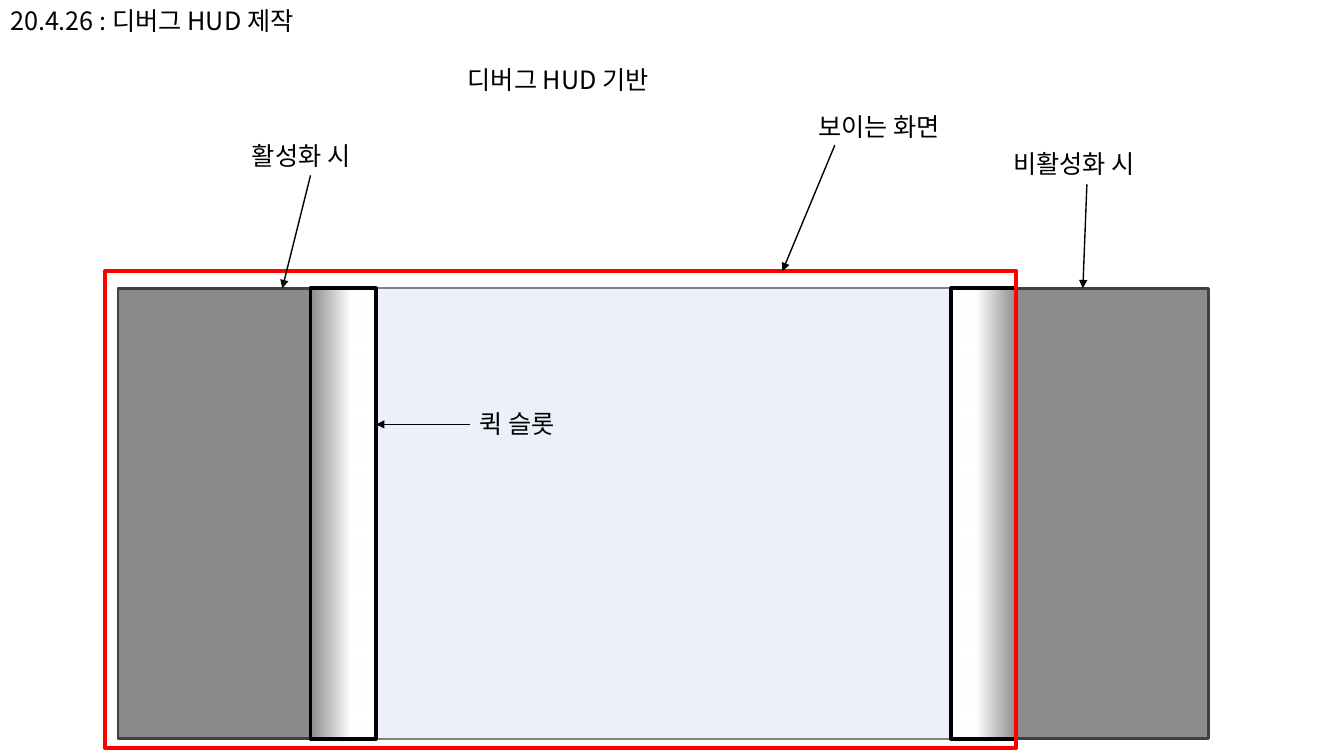
from typing import NamedTuple, Optional

from lxml import etree
from pptx import Presentation
from pptx.dml.color import RGBColor
from pptx.enum.shapes import MSO_CONNECTOR as CONN, MSO_SHAPE as SHAPE
from pptx.enum.text import MSO_ANCHOR as ANCHOR, MSO_AUTO_SIZE as AUTO, PP_ALIGN as ALIGN
from pptx.oxml import parse_xml
from pptx.oxml.ns import nsdecls, qn
from pptx.util import Inches, Pt

FONT = "Noto Sans CJK KR"
PANEL_TOP, PANEL_H = 2.86, 4.47
PANEL_W, SLOT_W = 2.56, 0.65
SCREEN_X, LEFT_SLOT_X, RIGHT_X = 1.17, 3.08, 9.43
FRAME_TOP = 2.69
LABEL_H = 0.4


class Box(NamedTuple):
    x: float
    w: float
    line: str
    line_pt: float
    fill: Optional[str] = None
    alpha: int = 100
    fade_angle: Optional[int] = None
    y: float = PANEL_TOP
    h: float = PANEL_H


class Label(NamedTuple):
    text: str
    x: float
    y: float
    w: float


class Arrow(NamedTuple):
    x1: float
    y1: float
    x2: float
    y2: float


BOXES = [
    Box(SCREEN_X, 8.91, "808080", 1.5, "DAE3F3", 50),
    Box(SCREEN_X, PANEL_W, "404040", 2, "808080", 90),
    Box(LEFT_SLOT_X, SLOT_W, "000000", 2.5, fade_angle=0),
    Box(RIGHT_X, PANEL_W, "404040", 2, "808080", 90),
    Box(RIGHT_X, SLOT_W, "000000", 2.5, fade_angle=180),
    Box(1.04, 9.04, "FF0000", 3, y=FRAME_TOP, h=4.73),
]
TITLE = Label("20.4.26 : 디버그 HUD 제작", 0, 0, 3.57)
LABELS = [
    Label("디버그 HUD 기반", 4.54, 0.59, 2.81),
    Label("활성화 시", 2.4, 1.34, 1.36),
    Label("비활성화 시", 9.95, 1.42, 1.67),
    Label("보이는 화면", 8.02, 1.06, 1.67),
    Label("퀵 슬롯", 4.66, 4, 1.08),
]
ARROWS = [
    Arrow(3.08, 1.74, 2.8, PANEL_TOP),
    Arrow(10.78, 1.83, 10.74, PANEL_TOP),
    Arrow(8.28, 1.44, 7.76, FRAME_TOP),
    Arrow(4.66, 4.21, LEFT_SLOT_X + SLOT_W, 4.21),
]


def rgb(color: str) -> RGBColor:
    return RGBColor.from_string(color)


def fade(angle: int):
    """White gradient that starts fully transparent."""
    return parse_xml(
        f'<a:gradFill {nsdecls("a")} rotWithShape="1"><a:gsLst>'
        '<a:gs pos="0"><a:srgbClr val="FFFFFF"><a:alpha val="0"/></a:srgbClr></a:gs>'
        '<a:gs pos="61000"><a:srgbClr val="FFFFFF"/></a:gs>'
        '<a:gs pos="100000"><a:srgbClr val="FFFFFF"/></a:gs>'
        f'</a:gsLst><a:lin ang="{angle * 60000}" scaled="0"/></a:gradFill>')


def add_box(s, box: Box) -> None:
    sp = s.shapes.add_shape(SHAPE.RECTANGLE, Inches(box.x), Inches(box.y),
                            Inches(box.w), Inches(box.h))
    sp.shadow.inherit = False
    sp.line.color.rgb = rgb(box.line)
    sp.line.width = Pt(box.line_pt)
    if box.fill:
        sp.fill.solid()
        sp.fill.fore_color.rgb = rgb(box.fill)
        clr = sp.fill._xPr.find(qn("a:solidFill"))[0]
        etree.SubElement(clr, qn("a:alpha"), val=str(box.alpha * 1000))
    else:
        sp.fill.background()
        if box.fade_angle is not None:
            no_fill = sp._element.spPr.find(qn("a:noFill"))
            no_fill.getparent().replace(no_fill, fade(box.fade_angle))


def write_label(sp, label: Label) -> None:
    sp.left, sp.top = Inches(label.x), Inches(label.y)
    sp.width, sp.height = Inches(label.w), Inches(LABEL_H)
    tf = sp.text_frame
    tf.text = label.text
    tf.word_wrap = True
    tf.auto_size = AUTO.SHAPE_TO_FIT_TEXT
    tf.vertical_anchor = ANCHOR.TOP
    p = tf.paragraphs[0]
    p.alignment = ALIGN.LEFT
    p.font.name = FONT
    p.font.size = Pt(18)
    p.font.color.rgb = rgb("000000")
    latin = p.font._element.find(qn("a:latin"))
    latin.addnext(latin.makeelement(qn("a:ea"), {"typeface": FONT}))


def add_arrow(s, arrow: Arrow) -> None:
    ends = [Inches(v) for v in arrow]
    cn = s.shapes.add_connector(CONN.STRAIGHT, *ends)
    cn.line.color.rgb = rgb("000000")
    cn.line.width = Pt(1)
    etree.SubElement(cn.line._get_or_add_ln(), qn("a:tailEnd"), type="triangle")
    etree.SubElement(cn._element.spPr, qn("a:effectLst"))


def main() -> None:
    prs = Presentation()
    prs.slide_width, prs.slide_height = Inches(13.33), Inches(7.5)
    s = prs.slides.add_slide(prs.slide_layouts[5])

    # Title
    write_label(s.shapes.title, TITLE)

    # Screen, side panels, quick slots and visible frame
    for box in BOXES:
        add_box(s, box)

    # Callouts
    for arrow in ARROWS:
        add_arrow(s, arrow)
    for label in LABELS:
        write_label(s.shapes.add_textbox(0, 0, 0, 0), label)

    prs.save("out.pptx")


if __name__ == "__main__":
    main()
